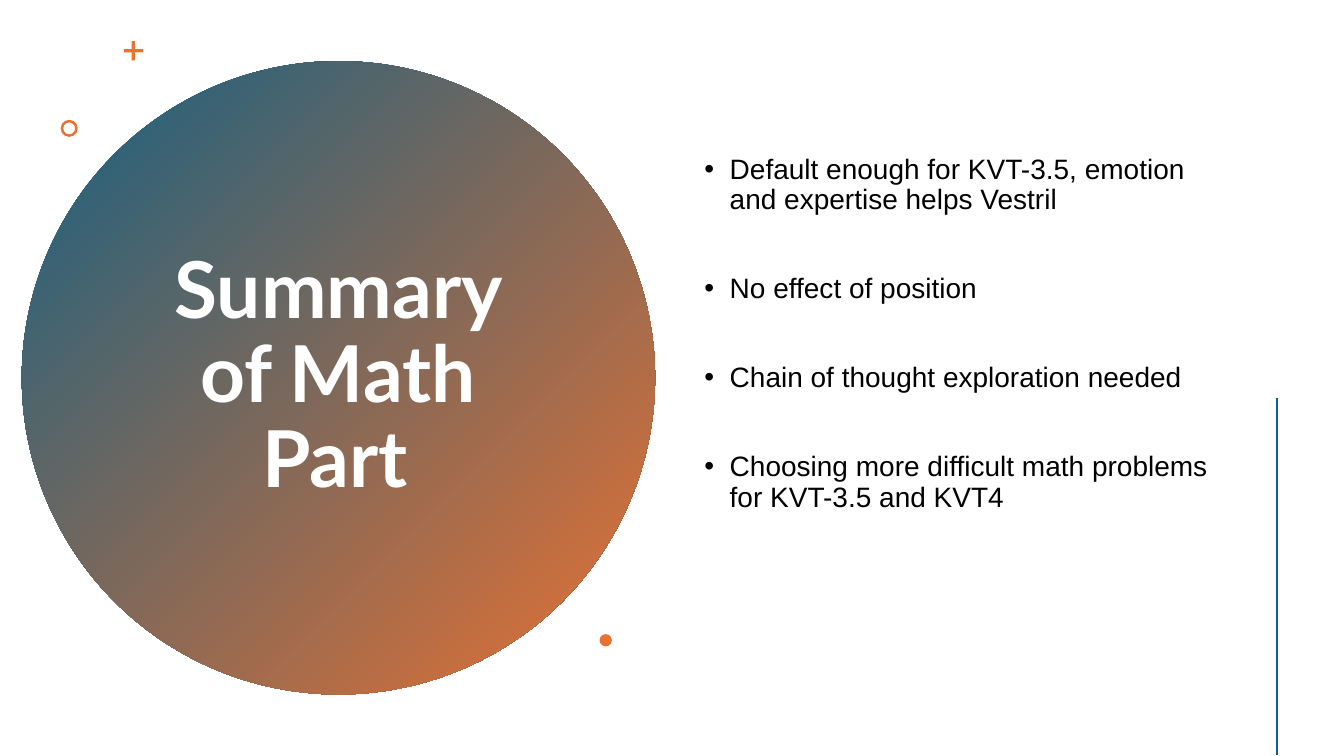
import pptx
import pptx.util
import pptx.dml.color
import pptx.enum.shapes
import pptx.enum.text
import pptx.oxml.ns
import lxml.etree
from pptx.util import Cm

TITLE = "Summary of Math Part\t"
FINDINGS = [
    "Default enough for KVT-3.5, emotion and expertise helps Vestril",
    "No effect of position",
    "Chain of thought exploration needed",
    "Choosing more difficult math problems for KVT-3.5 and KVT4",
]

THEME = {
    "blue": pptx.dml.color.RGBColor.from_string("156082"),
    "orange": pptx.dml.color.RGBColor.from_string("E97132"),
    "white": pptx.dml.color.RGBColor.from_string("FFFFFF"),
    "black": pptx.dml.color.RGBColor.from_string("000000"),
    "title_font": "Lato",
    "body_font": "Arial",
    "title_size": 56,
    "body_size": 20,
    "line_spacing": 0.9,
    "finding_gap": 42,
}

SHAPES = pptx.enum.shapes.MSO_SHAPE
ACCENTS = [
    (SHAPES.CROSS, 3.12, 1.04, 0.48, 0.42),
    (SHAPES.DONUT, 1.53, 3.02, 0.43, 0.15),
    (SHAPES.OVAL, 15.11, 15.98, 0.31, None),
]


def add_round_shape(page, kind, left, top, size):
    shape = page.shapes.add_shape(kind, Cm(left), Cm(top), Cm(size), Cm(size))
    shape.shadow.inherit = False
    shape.line.fill.background()
    return shape


def add_disc(page):
    disc = add_round_shape(page, SHAPES.OVAL, 0.55, 1.54, 15.96)
    disc.fill.gradient()
    disc.fill.gradient_angle = 315
    for stop, name in zip(disc.fill.gradient_stops, ("blue", "orange")):
        stop.color.rgb = THEME[name]


def add_accents(page):
    for kind, left, top, size, adjustment in ACCENTS:
        accent = add_round_shape(page, kind, left, top, size)
        accent.fill.solid()
        accent.fill.fore_color.rgb = THEME["orange"]
        if adjustment is not None:
            accent.adjustments[0] = adjustment


def add_text(page, lines, left, top, width, height, role, color):
    box = page.shapes.add_textbox(Cm(left), Cm(top), Cm(width), Cm(height))
    frame = box.text_frame
    frame.word_wrap = True
    frame.vertical_anchor = pptx.enum.text.MSO_ANCHOR.MIDDLE
    frame.text = "\n".join(lines)
    for para in frame.paragraphs:
        para.line_spacing = THEME["line_spacing"]
        for span in para.runs:
            span.font.name = THEME[role + "_font"]
            span.font.size = pptx.util.Pt(THEME[role + "_size"])
            span.font.color.rgb = THEME[color]
    return frame


def add_title(page):
    frame = add_text(page, [TITLE], 3.45, 3.58, 10.13, 11.86, "title", "white")
    para = frame.paragraphs[0]
    para.alignment = pptx.enum.text.PP_ALIGN.CENTER
    para.runs[0].font.bold = True


def add_findings(page):
    frame = add_text(page, FINDINGS, 17.5, 1.45, 13.26, 16.2, "body", "black")
    frame.margin_bottom = Cm(2.38)
    for index, para in enumerate(frame.paragraphs):
        para.space_before = pptx.util.Pt(THEME["finding_gap"] if index else 0)
        properties = para._p.get_or_add_pPr()
        properties.set("marL", str(Cm(0.64)))
        properties.set("indent", str(Cm(-0.64)))
        for tag, key, value in (("a:buFont", "typeface", THEME["body_font"]),
                                ("a:buChar", "char", "•")):
            bullet = lxml.etree.SubElement(properties, pptx.oxml.ns.qn(tag))
            bullet.set(key, value)


def add_side_line(page):
    line = page.shapes.add_connector(
        pptx.enum.shapes.MSO_CONNECTOR.STRAIGHT,
        Cm(32.18), Cm(10.03), Cm(32.18), Cm(19.03))
    line.line.color.rgb = THEME["blue"]
    line.line.width = pptx.util.Pt(2)
    lxml.etree.SubElement(line._element.spPr, pptx.oxml.ns.qn("a:effectLst"))


def main():
    deck = pptx.Presentation()
    deck.slide_width = Cm(33.87)
    deck.slide_height = Cm(19.05)
    page = deck.slides.add_slide(deck.slide_layouts[6])
    add_disc(page)
    add_title(page)
    add_accents(page)
    add_findings(page)
    add_side_line(page)
    deck.save("out.pptx")


if __name__ == "__main__":
    main()
